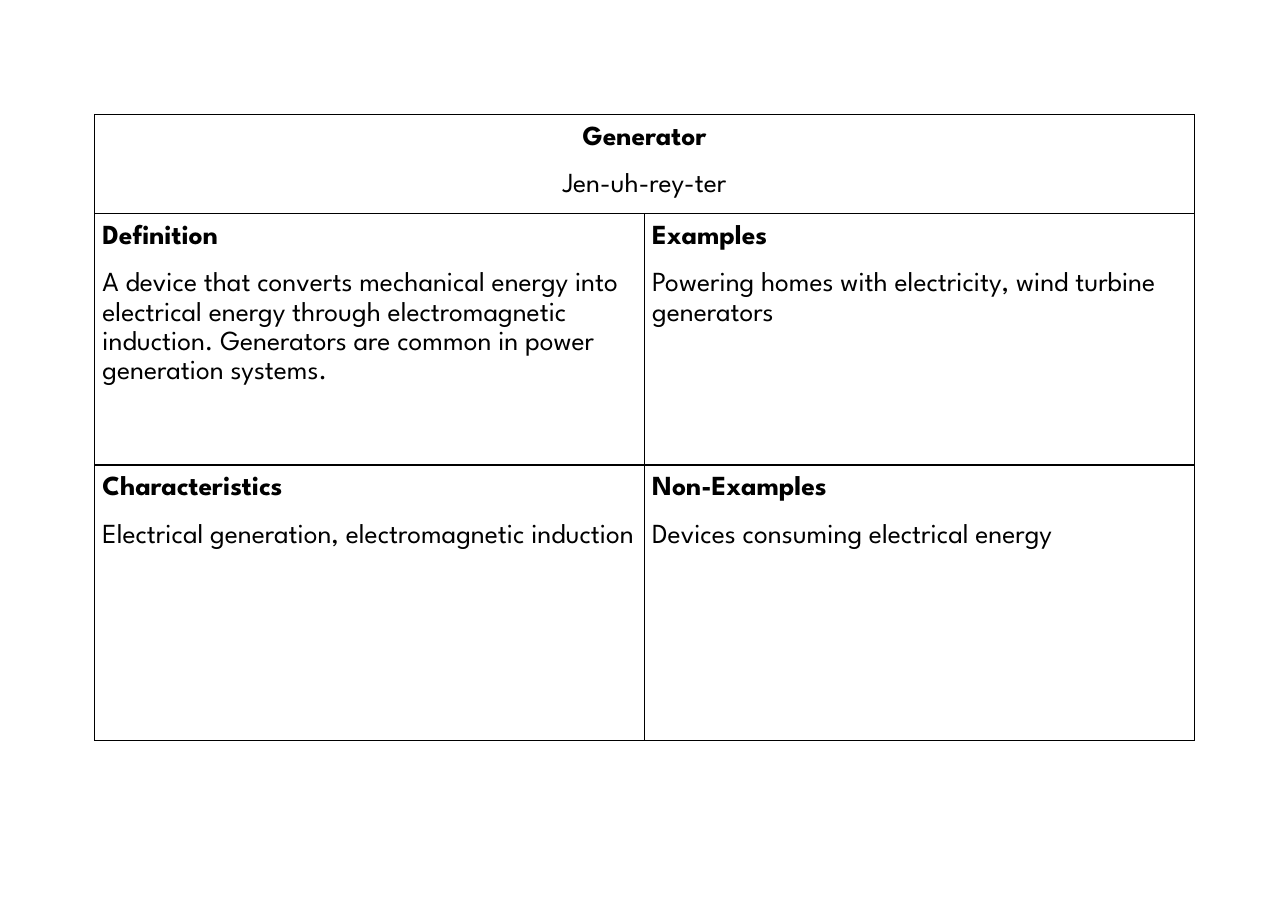
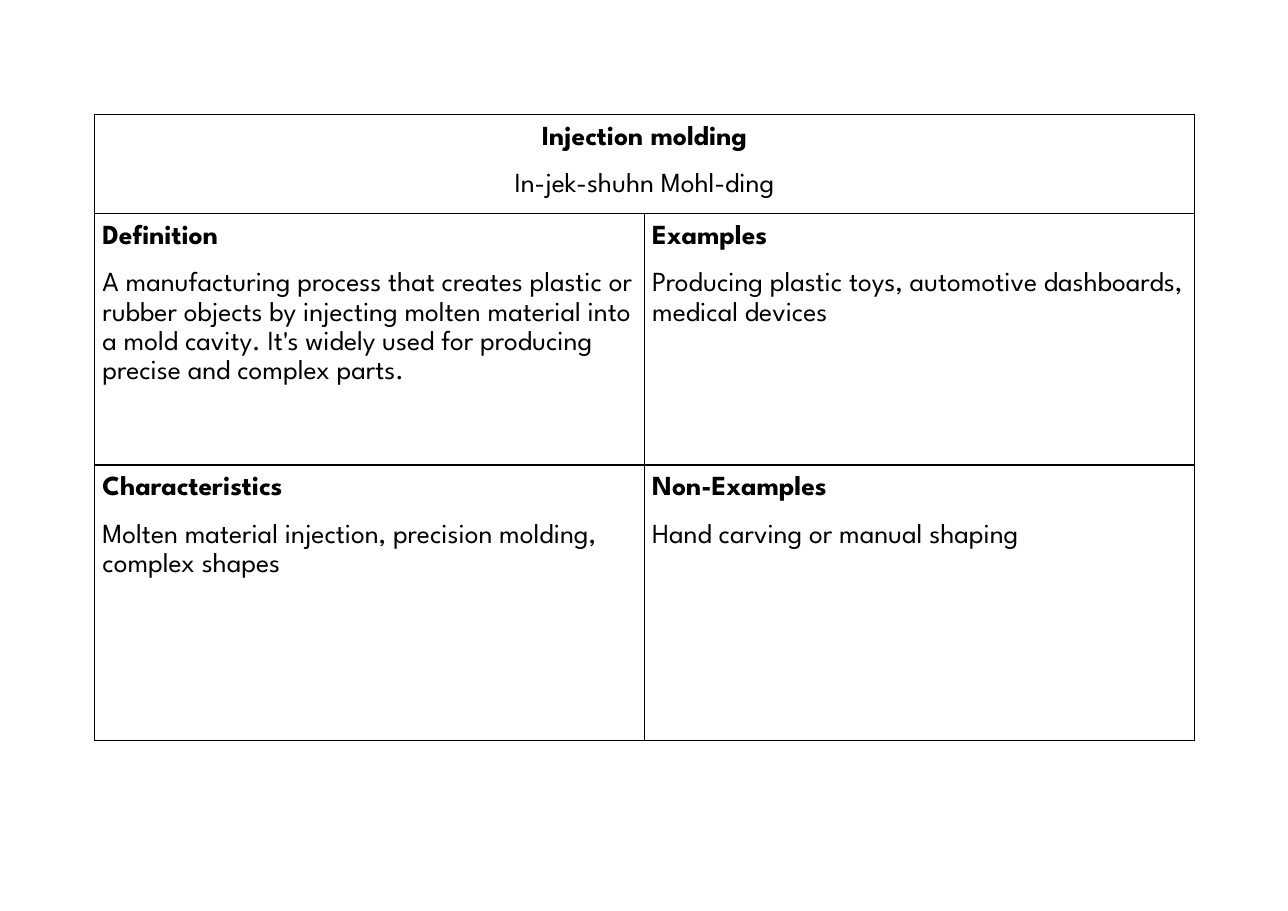
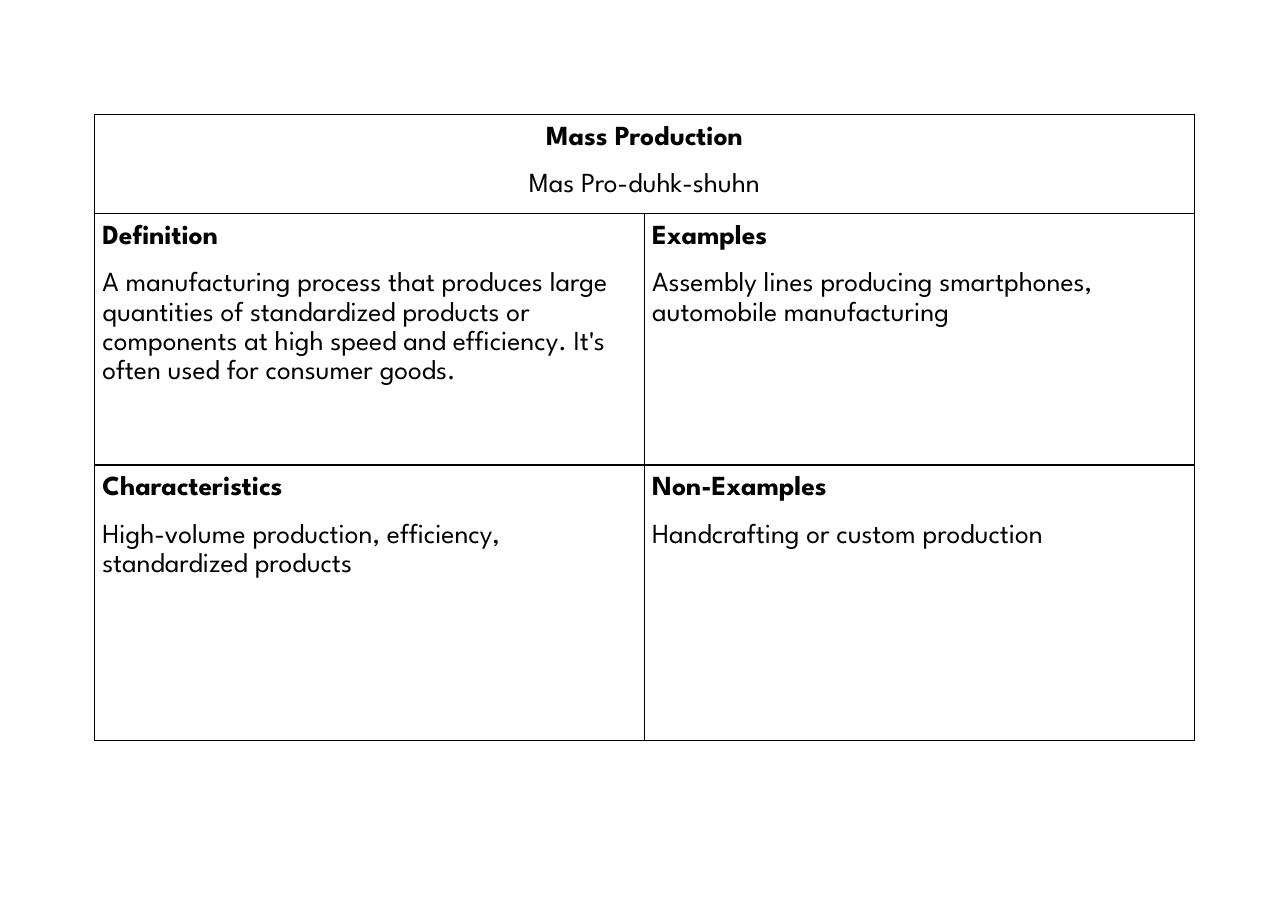
from dataclasses import dataclass

from lxml.etree import SubElement
from pptx import Presentation
from pptx.dml.color import RGBColor
from pptx.enum.text import MSO_ANCHOR as Anchor, PP_ALIGN as Align
from pptx.oxml.ns import qn
from pptx.util import Inches, Pt


@dataclass(frozen=True)
class Theme:
    font: str = "League Spartan"
    ink: str = "000000"
    text_size: float = 18
    line_spacing: float = 1.15
    gap: float = 12
    border: float = 1
    inset: float = 0.07


THEME = Theme()
PAGE_WIDTH, PAGE_HEIGHT = 11.69, 8.27
CARD_LEFT, CARD_TOP = 0.86, 1.04
COLUMN_WIDTHS = [4.99, 4.99]
ROW_HEIGHTS = [0.9, 2.28, 2.5]
HEADINGS = ["Definition", "Examples", "Characteristics", "Non-Examples"]

CARDS = [
    ("Generator", "Jen-uh-rey-ter", [
        "A device that converts mechanical energy into electrical energy through "
        "electromagnetic induction. Generators are common in power generation systems.",
        "Powering homes with electricity, wind turbine generators",
        "Electrical generation, electromagnetic induction",
        "Devices consuming electrical energy",
    ]),
    ("Injection molding", "In-jek-shuhn Mohl-ding", [
        "A manufacturing process that creates plastic or rubber objects by injecting "
        "molten material into a mold cavity. It's widely used for producing precise "
        "and complex parts.",
        "Producing plastic toys, automotive dashboards, medical devices",
        "Molten material injection, precision molding, complex shapes",
        "Hand carving or manual shaping",
    ]),
    ("Mass Production", "Mas Pro-duhk-shuhn", [
        "A manufacturing process that produces large quantities of standardized "
        "products or components at high speed and efficiency. It's often used for "
        "consumer goods.",
        "Assembly lines producing smartphones, automobile manufacturing",
        "High-volume production, efficiency, standardized products",
        "Handcrafting or custom production",
    ]),
]


def write_text(para, text, bold=False, align=Align.LEFT, before=0, after=0):
    para.alignment = align
    para.line_spacing = THEME.line_spacing
    para.space_before = Pt(before)
    para.space_after = Pt(after)
    span = para.add_run()
    span.text = text
    span.font.name = THEME.font
    span.font.size = Pt(THEME.text_size)
    span.font.bold = bold
    span.font.color.rgb = RGBColor.from_string(THEME.ink)


def fill_cell(cell, heading, body, align=Align.LEFT, after=0):
    frame = cell.text_frame
    write_text(frame.paragraphs[0], heading, bold=True, align=align)
    write_text(frame.add_paragraph(), body, align=align, before=THEME.gap, after=after)


def format_cell(cell):
    cell.margin_left = cell.margin_right = Inches(THEME.inset)
    cell.margin_top = cell.margin_bottom = Inches(THEME.inset)
    cell.vertical_anchor = Anchor.TOP
    properties = cell._tc.get_or_add_tcPr()
    for side in ("a:lnL", "a:lnR", "a:lnT", "a:lnB"):
        line = SubElement(properties, qn(side), w=str(Pt(THEME.border)))
        paint = SubElement(line, qn("a:solidFill"))
        SubElement(paint, qn("a:srgbClr"), val=THEME.ink)
    cell.fill.background()


def add_card_table(page):
    frame = page.shapes.add_table(
        len(ROW_HEIGHTS), len(COLUMN_WIDTHS), Inches(CARD_LEFT), Inches(CARD_TOP),
        Inches(sum(COLUMN_WIDTHS)), Inches(sum(ROW_HEIGHTS)))
    table = frame.table
    table.first_row = table.horz_banding = False
    for column, width in zip(table.columns, COLUMN_WIDTHS):
        column.width = Inches(width)
    for row, height in zip(table.rows, ROW_HEIGHTS):
        row.height = Inches(height)
    for cell in table.iter_cells():
        format_cell(cell)
    table.cell(0, 0).merge(table.cell(0, len(COLUMN_WIDTHS) - 1))
    return table


def add_card(deck, term, sound, bodies):
    page = deck.slides.add_slide(deck.slide_layouts[6])
    table = add_card_table(page)
    fill_cell(table.cell(0, 0), term, sound, align=Align.CENTER, after=THEME.gap)
    for index, (heading, body) in enumerate(zip(HEADINGS, bodies)):
        row, column = divmod(index, len(COLUMN_WIDTHS))
        fill_cell(table.cell(row + 1, column), heading, body)


def main():
    deck = Presentation()
    deck.slide_width, deck.slide_height = Inches(PAGE_WIDTH), Inches(PAGE_HEIGHT)
    for term, sound, bodies in CARDS:
        add_card(deck, term, sound, bodies)
    deck.save("out.pptx")


if __name__ == "__main__":
    main()
